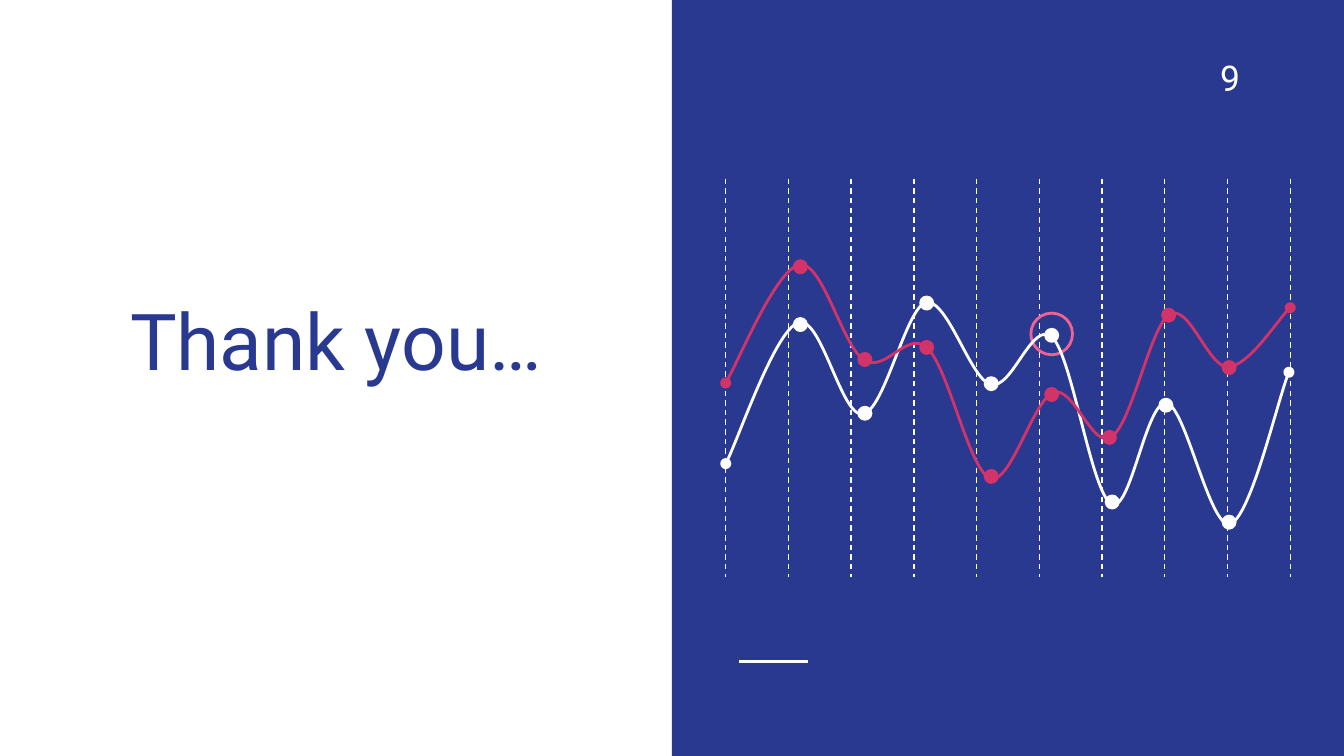
from pptx import Presentation
from pptx import util as u
from pptx.dml.color import RGBColor
from pptx.enum import dml, shapes, text
from pptx.oxml.ns import qn
from lxml import etree

THEME = {
    "blue": RGBColor.from_string("2A3990"),
    "white": RGBColor.from_string("FFFFFF"),
    "red": RGBColor.from_string("D23369"),
    "pink": RGBColor.from_string("F06292"),
    "font": "Roboto",
    "title_size": 42,
    "number_size": 19,
    "thin": 0.75,
    "thick": 1.5,
}

WIDTH = 10
HEIGHT = WIDTH * 9 / 16

TITLE = "Thank you…"
PAGE_NUMBER = "9"

GRID = {"left": 5.4, "right": 9.6, "top": 1.33, "bottom": 4.29, "count": 10}
RING = (7.67, 2.33, 0.31)
MARKER_SIZE = 0.09

# Each segment is two control points followed by its end point.
CURVES = [
    {
        "color": "white",
        "start": (5.4, 3.45),
        "segments": [
            ((5.49, 3.28), (5.77, 2.46), (5.94, 2.4)),
            ((6.11, 2.34), (6.26, 3.11), (6.42, 3.08)),
            ((6.58, 3.06), (6.74, 2.29), (6.89, 2.25)),
            ((7.05, 2.22), (7.22, 2.82), (7.37, 2.86)),
            ((7.53, 2.91), (7.68, 2.37), (7.83, 2.51)),
            ((7.98, 2.66), (8.12, 3.67), (8.27, 3.75)),
            ((8.41, 3.83), (8.53, 2.97), (8.68, 3)),
            ((8.82, 3.02), (9, 3.93), (9.15, 3.9)),
            ((9.3, 3.86), (9.51, 2.96), (9.59, 2.77)),
        ],
        "markers": [(5.91, 2.37), (6.39, 3.03), (6.85, 2.21), (7.33, 2.81),
                    (7.78, 2.45), (8.23, 3.69), (8.63, 2.97), (9.1, 3.84)],
    },
    {
        "color": "red",
        "start": (5.4, 2.85),
        "segments": [
            ((5.49, 2.7), (5.78, 2), (5.95, 1.97)),
            ((6.12, 1.94), (6.27, 2.58), (6.43, 2.68)),
            ((6.59, 2.78), (6.75, 2.45), (6.9, 2.59)),
            ((7.06, 2.74), (7.21, 3.5), (7.37, 3.56)),
            ((7.52, 3.61), (7.69, 2.97), (7.84, 2.92)),
            ((7.99, 2.87), (8.13, 3.35), (8.27, 3.25)),
            ((8.42, 3.16), (8.56, 2.43), (8.7, 2.34)),
            ((8.85, 2.25), (8.99, 2.74), (9.14, 2.73)),
            ((9.29, 2.72), (9.52, 2.36), (9.6, 2.29)),
        ],
        "markers": [(5.91, 1.94), (6.39, 2.63), (6.85, 2.54), (7.33, 3.5),
                    (7.78, 2.89), (8.21, 3.21), (8.65, 2.3), (9.1, 2.69)],
    },
]


def inches(*values):
    return [u.Inches(value) for value in values]


def style_line(line, color, width):
    line.color.rgb = THEME[color]
    line.width = u.Pt(THEME[width])


def add_shape(slide, kind, box, fill=None, line=None):
    shape = slide.shapes.add_shape(kind, *inches(*box))
    shape.shadow.inherit = False
    if fill:
        shape.fill.solid()
        shape.fill.fore_color.rgb = THEME[fill]
    else:
        shape.fill.background()
    if line:
        style_line(shape.line, line, "thick")
    else:
        shape.line.fill.background()


def add_line(slide, ends, width, dashed=False):
    connector = slide.shapes.add_connector(
        shapes.MSO_CONNECTOR.STRAIGHT, *inches(*ends))
    style_line(connector.line, "white", width)
    if dashed:
        connector.line.dash_style = dml.MSO_LINE.DASH
    etree.SubElement(connector._element.spPr, qn("a:effectLst"))


def add_text(slide, box, content, size, color, align, anchor):
    frame = slide.shapes.add_textbox(*inches(*box)).text_frame
    frame.word_wrap = True
    frame.vertical_anchor = anchor
    frame.margin_left = frame.margin_right = u.Inches(0.1)
    frame.margin_top = frame.margin_bottom = u.Inches(0.1)
    frame.text = content
    paragraph = frame.paragraphs[0]
    paragraph.alignment = align
    font = paragraph.runs[0].font
    font.name = THEME["font"]
    font.size = u.Pt(THEME[size])
    font.color.rgb = THEME[color]


def add_curve(slide, curve):
    """Draw a smooth open curve with oval ends, then its markers."""
    builder = slide.shapes.build_freeform(*inches(*curve["start"]))
    points = [inches(*point) for segment in curve["segments"] for point in segment]
    builder.add_line_segments(points, close=False)
    shape = builder.convert_to_shape()
    shape.shadow.inherit = False
    shape.fill.background()
    style_line(shape.line, curve["color"], "thick")

    # Join each three straight steps into one cubic Bézier segment.
    outline = next(shape._element.iter(qn("a:path")))
    steps = outline.findall(qn("a:lnTo"))
    for first in range(0, len(steps), 3):
        bezier = etree.SubElement(outline, qn("a:cubicBezTo"))
        for step in steps[first:first + 3]:
            bezier.append(step[0])
            outline.remove(step)

    outline_style = shape._element.spPr.find(qn("a:ln"))
    for end in ("a:headEnd", "a:tailEnd"):
        etree.SubElement(outline_style, qn(end), type="oval")

    for left, top in curve["markers"]:
        add_shape(slide, shapes.MSO_SHAPE.OVAL,
                  (left, top, MARKER_SIZE, MARKER_SIZE),
                  curve["color"], curve["color"])


def main():
    presentation = Presentation()
    presentation.slide_width, presentation.slide_height = inches(WIDTH, HEIGHT)
    slide = presentation.slides.add_slide(presentation.slide_layouts[6])

    add_shape(slide, shapes.MSO_SHAPE.RECTANGLE,
              (WIDTH / 2, 0, WIDTH / 2, HEIGHT), "blue")
    add_line(slide, (5.5, 4.92, 6.01, 4.92), "thick")

    gap = (GRID["right"] - GRID["left"]) / (GRID["count"] - 1)
    for index in range(GRID["count"]):
        x = GRID["left"] + index * gap
        add_line(slide, (x, GRID["top"], x, GRID["bottom"]), "thin", dashed=True)

    left, top, size = RING
    add_shape(slide, shapes.MSO_SHAPE.OVAL, (left, top, size, size), line="pink")
    add_text(slide, (0.29, 1.26, 4.42, 1.71), TITLE, "title_size", "blue",
             text.PP_ALIGN.CENTER, text.MSO_ANCHOR.BOTTOM)
    for curve in CURVES:
        add_curve(slide, curve)
    add_text(slide, (8.98, 0.32, 0.85, 0.71), PAGE_NUMBER, "number_size", "white",
             text.PP_ALIGN.LEFT, text.MSO_ANCHOR.TOP)

    presentation.save("out.pptx")


if __name__ == "__main__":
    main()
